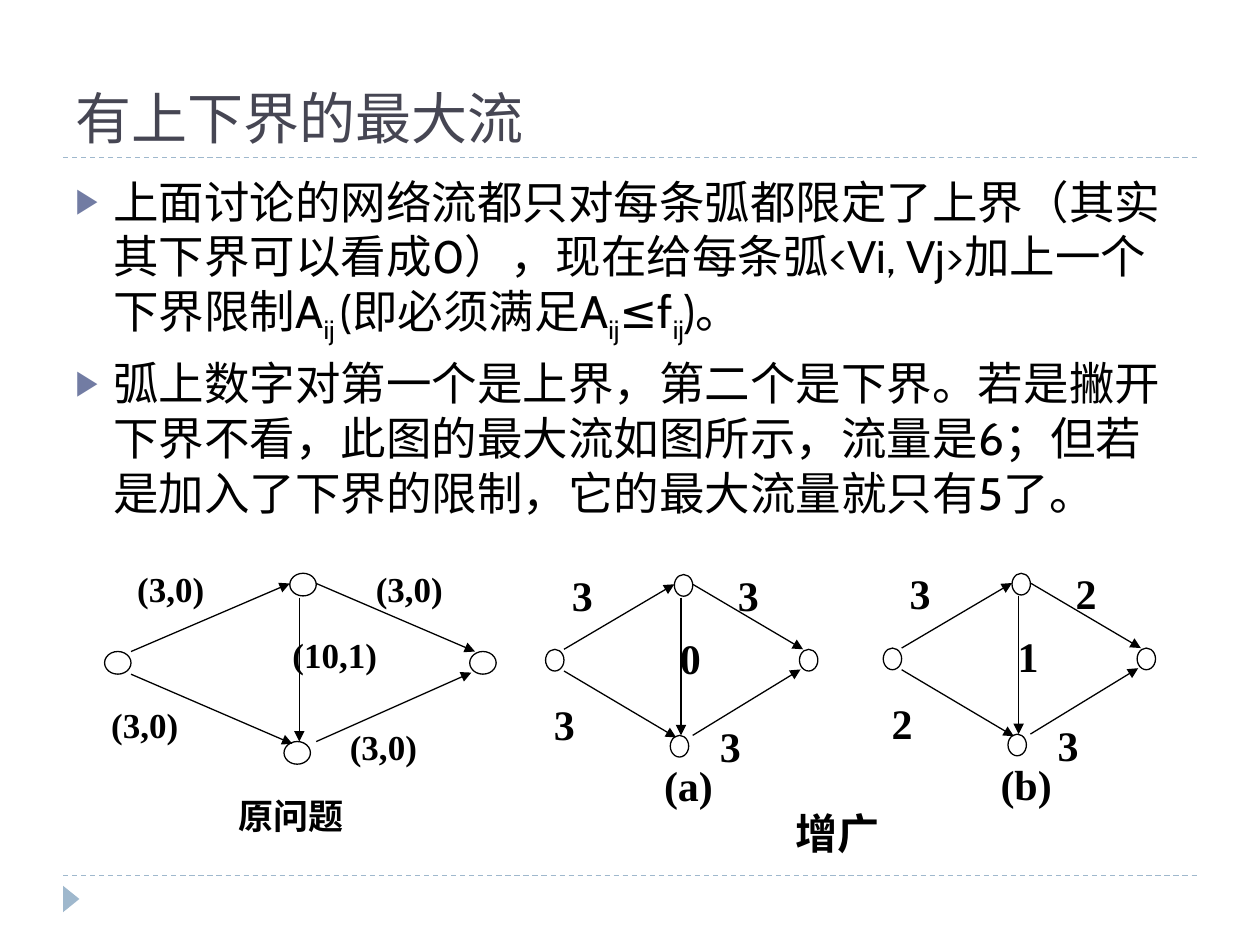
import pptx
import pptx.dml.color
import pptx.enum.dml
import pptx.enum.shapes
import pptx.enum.text
import pptx.oxml.ns
import pptx.util
from lxml import etree

Inches = pptx.util.Inches
Align = pptx.enum.text.PP_ALIGN
Shape = pptx.enum.shapes.MSO_SHAPE
colour = pptx.dml.color.RGBColor.from_string
qn = pptx.oxml.ns.qn

presentation = pptx.Presentation()
presentation.slide_width, presentation.slide_height = Inches(10), Inches(7.5)
slide = presentation.slides.add_slide(presentation.slide_layouts[5])


def write_text(shape, text, size, font, color="000000", bold=False,
               align=Align.LEFT, anchor=pptx.enum.text.MSO_ANCHOR.TOP, bullet=None):
    """Fill a shape with text; newlines split paragraphs, underscores enclose subscripts."""
    frame = shape.text_frame
    frame.word_wrap = True
    frame.auto_size = pptx.enum.text.MSO_AUTO_SIZE.NONE
    frame.vertical_anchor = anchor
    for number, line in enumerate(text.split("\n")):
        paragraph = frame.add_paragraph() if number else frame.paragraphs[0]
        paragraph.alignment = align
        if bullet:
            paragraph.space_before = pptx.util.Pt(6)
            properties = paragraph._p.get_or_add_pPr()
            properties.set("marL", str(Inches(0.3)))
            properties.set("indent", str(-Inches(0.3)))
            bullet_colour = etree.SubElement(properties, qn("a:buClr"))
            etree.SubElement(bullet_colour, qn("a:srgbClr"), val=bullet)
            etree.SubElement(properties, qn("a:buSzPct"), val="76000")
            etree.SubElement(properties, qn("a:buFont"), typeface="Arial")
            etree.SubElement(properties, qn("a:buChar"), char="▶")
        for part, words in enumerate(line.split("_")):
            run = paragraph.add_run()
            run.text = words
            run.font.size = pptx.util.Pt(size)
            run.font.bold = bold
            run.font.color.rgb = colour(color)
            run.font.name = font
            run_properties = run._r.get_or_add_rPr()
            east_asian = etree.Element(qn("a:ea"), typeface=font)
            run_properties.find(qn("a:latin")).addnext(east_asian)
            if part % 2:
                run_properties.set("baseline", "-25000")


def add_line(start_x, start_y, end_x, end_y, color="000000", arrow=True):
    """Draw a straight line in inches: an arrow, or else a dashed rule."""
    connector = slide.shapes.add_connector(
        pptx.enum.shapes.MSO_CONNECTOR.STRAIGHT,
        Inches(start_x), Inches(start_y), Inches(end_x), Inches(end_y))
    connector.line.color.rgb = colour(color)
    connector.line.width = pptx.util.Pt(0.75)
    if arrow:
        etree.SubElement(connector.line._get_or_add_ln(), qn("a:tailEnd"), type="triangle")
    else:
        connector.line.dash_style = pptx.enum.dml.MSO_LINE.DASH
    etree.SubElement(connector._element.spPr, qn("a:effectLst"))


# Page frame
for rule_y in (6.95, 1.25):
    add_line(0.5, rule_y, 9.5, rule_y, color="9FB8CD", arrow=False)
marker = slide.shapes.add_shape(Shape.ISOSCELES_TRIANGLE, Inches(0.46), Inches(7.07),
                                Inches(0.21), Inches(0.13))
marker.rotation = 90
marker.shadow.inherit = False
marker.fill.solid()
marker.fill.fore_color.rgb = colour("9FB8CD")
marker.line.fill.background()

# Title and body
title = slide.shapes.title
title.left, title.top, title.width, title.height = map(Inches, (0.5, 0.17, 9, 1.08))
write_text(title, "有上下界的最大流", size=32, font="TeX Gyre Bonum", color="464653",
           anchor=pptx.enum.text.MSO_ANCHOR.BOTTOM)
body = slide.shapes.add_textbox(Inches(0.5), Inches(1.33), Inches(9), Inches(5.4))
write_text(
    body,
    "上面讨论的网络流都只对每条弧都限定了上界（其实其下界可以看成0），"
    "现在给每条弧<Vi, Vj>加上一个下界限制A_ij _(即必须满足A_ij_≤f_ij_)。\n"
    "弧上数字对第一个是上界，第二个是下界。若是撇开下界不看，此图的最大流如图所示，"
    "流量是6；但若是加入了下界的限制，它的最大流量就只有5了。",
    size=26, font="Cabin", bullet="727CA3")

# Every network shares one layout; a node is one column wide and one row high
nodes = [(0, 3.45), (7, 0), (6.78, 7.42), (13.8, 3.45)]
arcs = [(1, 3.45, 7, 0.45), (1, 4.45, 7.1, 7.52), (8, 0.45, 14, 3.45),
        (8, 7.42, 13.86, 4.38), (7.36, 1.07, 7.36, 7.42)]
label_places = [(0.76, -0.54), (9.78, -0.54), (-0.22, 5.45), (8.8, 6.45), (6.63, 2.37)]

# left, top, column, row, text size, arc labels, captions (text, column, row, columns wide, font)
networks = [
    (0.83, 4.55, 0.21, 0.18, 20, ["(3,0)", "(3,0)", "(3,0)", "(3,0)", "(10,1)"],
     [("原问题", 4.05, 9.5, 6, "Arial")]),
    (4.33, 4.56, 0.146, 0.172, 24, ["3", "3", "3", "3", "0"],
     [("(a)", 5.27, 8.25, 5, "Times New Roman"), ("增广", 11.85, 10.47, 8, "Arial")]),
    (7.01, 4.55, 0.146, 0.172, 24, ["3", "2", "2", "3", "1"],
     [("(b)", 5.27, 8.25, 5, "Times New Roman")]),
]
for left, top, column, row, size, arc_labels, captions in networks:
    for x, y in nodes:
        node = slide.shapes.add_shape(Shape.OVAL, Inches(left + x * column),
                                      Inches(top + y * row), Inches(column), Inches(row))
        node.shadow.inherit = False
        node.fill.solid()
        node.fill.fore_color.rgb = colour("FFFFFF")
        node.line.color.rgb = colour("000000")
        node.line.width = pptx.util.Pt(0.75)
    for start_x, start_y, end_x, end_y in arcs:
        add_line(left + start_x * column, top + start_y * row,
                 left + end_x * column, top + end_y * row)
    labels = [(text, x, y, 5, "Times New Roman", Align.JUSTIFY)
              for text, (x, y) in zip(arc_labels, label_places)]
    labels += [(*caption, Align.CENTER) for caption in captions]
    for text, x, y, columns, font, align in labels:
        box = slide.shapes.add_textbox(Inches(left + x * column), Inches(top + y * row),
                                       Inches(columns * column), Inches(3 * row))
        write_text(box, text, size=size, font=font, bold=True, align=align)

presentation.save("out.pptx")
